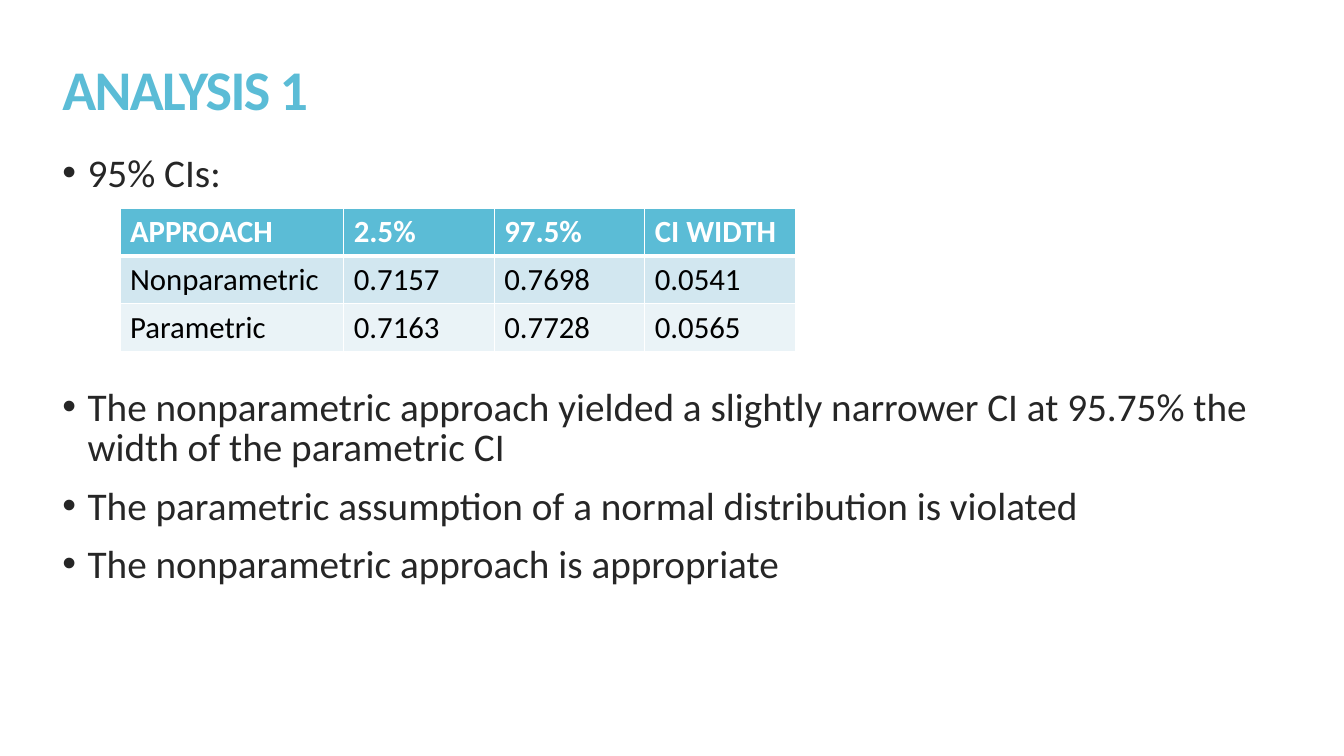
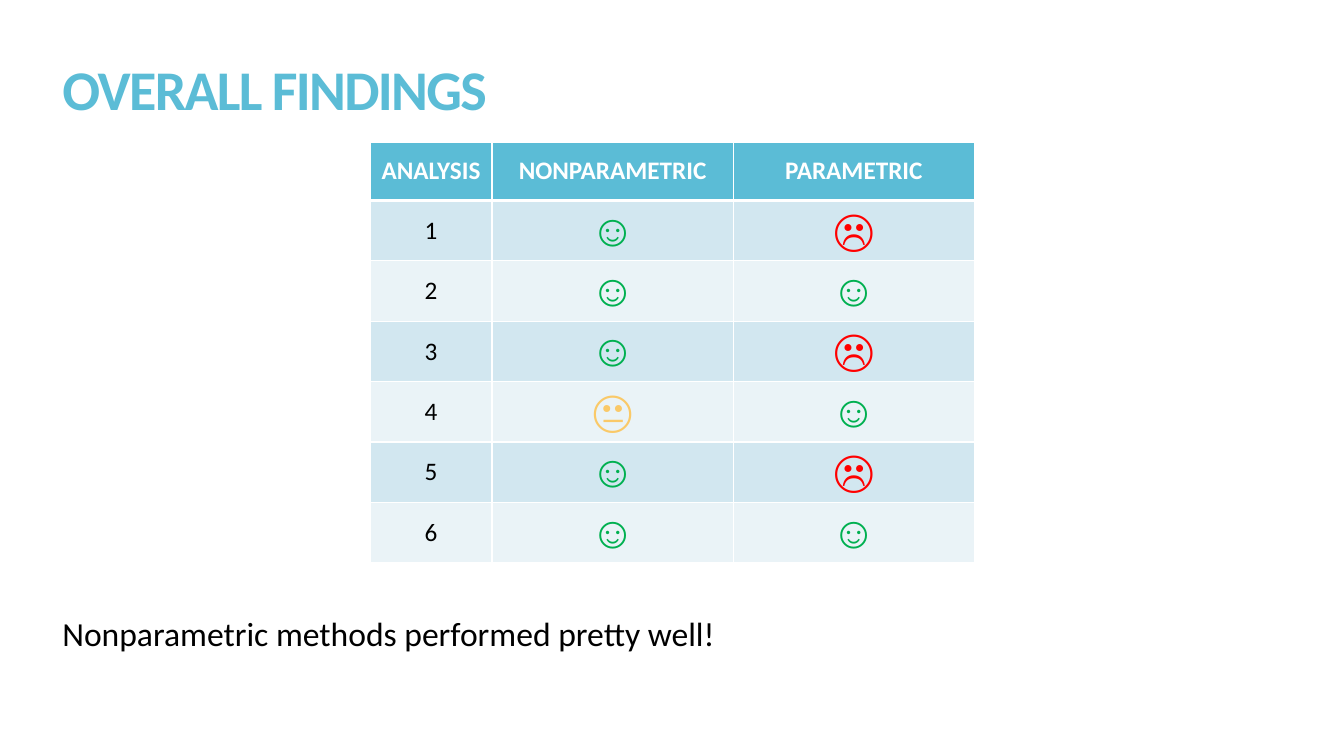
import pptx
import pptx.util
import pptx.dml.color
import pptx.enum.text
import pptx.oxml.ns
import lxml.etree

Pt = pptx.util.Pt
ALIGN = pptx.enum.text.PP_ALIGN
ANCHOR = pptx.enum.text.MSO_ANCHOR
FIT = pptx.enum.text.MSO_AUTO_SIZE

WIDTH, HEIGHT = pptx.util.Inches(13.33), pptx.util.Inches(7.5)
LEFT, SPAN = 3.9, 91.95
COLORS = {
    "accent": "5BBCD6", "text": "262626", "black": "000000", "white": "FFFFFF",
    "band_dark": "D2E7F0", "band_light": "EAF3F7",
    "good": "00B050", "bad": "FF0000", "fair": "FAC968",
}
FACES = {"☺": "good", "☹": "bad", "😐": "fair"}

TITLE = {"name": "Calibri", "size": Pt(40), "bold": True}
BODY = {"name": "Calibri", "size": Pt(28), "bold": False}
NOTE = {"name": "Calibri", "size": Pt(24), "bold": False}
FACE = {"name": "Arial", "size": Pt(32), "bold": False}
TIGHT = {"line_spacing": 0.85, "alignment": ALIGN.LEFT}
BULLET = {**TIGHT, "space_before": Pt(13), "space_after": Pt(0)}
TABLE_GAP = Pt(139)


def rgb(color):
    return pptx.dml.color.RGBColor.from_string(COLORS[color])


def across(share):
    return round(WIDTH * share / 100)


def down(share):
    return round(HEIGHT * share / 100)


def box(x, y, w, h):
    return across(x), down(y), across(w), down(h)


def set_all(target, formats):
    for name, value in formats.items():
        setattr(target, name, value)


def child(parent, tag, **attributes):
    return lxml.etree.SubElement(parent, pptx.oxml.ns.qn(tag), attributes)


def add_run(p, text, font, color):
    r = p.add_run()
    r.text = text
    set_all(r.font, font)
    r.font.color.rgb = rgb(color)
    return r


def place(sp, x, y, w, h):
    set_all(sp, dict(zip(("left", "top", "width", "height"), box(x, y, w, h))))


def add_slide(prs, layout, title):
    s = prs.slides.add_slide(prs.slide_layouts.get_by_name(layout))
    sp = s.shapes.title
    place(sp, LEFT, 6, SPAN, 12.8)
    set_all(sp.text_frame, {"vertical_anchor": ANCHOR.MIDDLE, "auto_size": FIT.NONE})
    p = sp.text_frame.paragraphs[0]
    set_all(p, TIGHT)
    r = add_run(p, title, TITLE, "accent")
    r.font._element.set("spc", "-120")
    return s


def fill_body(s, lines):
    sp = s.placeholders[1]
    place(sp, LEFT, 19.87, SPAN, 71.6)
    tf = sp.text_frame
    tf.auto_size = FIT.NONE
    hang = pptx.util.Inches(0.25)
    for i, line in enumerate(lines):
        p = tf.paragraphs[0] if i == 0 else tf.add_paragraph()
        set_all(p, BULLET)
        pPr = p._p.get_or_add_pPr()
        pPr.set("marL", str(hang))
        pPr.set("indent", str(-hang))
        child(pPr, "a:buFont", typeface="Arial")
        child(pPr, "a:buChar", char="•")
        add_run(p, line, BODY, "text")
    tf.paragraphs[1].space_before = TABLE_GAP


def add_borders(cell, **widths):
    tcPr = cell._tc.get_or_add_tcPr()
    for side in "LRTB":
        ln = child(tcPr, f"a:ln{side}", w=str(Pt(widths.get(side, 1))))
        child(child(ln, "a:solidFill"), "a:srgbClr", val=COLORS["white"])


def fill_cell(cell, row, text, size, align):
    header = row == 0
    add_borders(cell, T=3 if row == 1 else 1, B=3 if header else 1)
    cell.fill.solid()
    cell.fill.fore_color.rgb = rgb(
        "accent" if header else "band_dark" if row % 2 else "band_light")
    cell.vertical_anchor = ANCHOR.MIDDLE
    p = cell.text_frame.paragraphs[0]
    p.alignment = align
    if text in FACES:
        add_run(p, text, FACE, FACES[text])
    else:
        font = {"name": "Calibri", "size": Pt(size), "bold": header}
        add_run(p, text, font, "white" if header else "black")


def add_table(s, x, y, cols, row_height, rows, size, align):
    frame = s.shapes.add_table(
        len(rows), len(cols), *box(x, y, sum(cols), row_height * len(rows)))
    table = frame.table
    for column, share in zip(table.columns, cols):
        column.width = across(share)
    for i, values in enumerate(rows):
        table.rows[i].height = down(row_height)
        for j, text in enumerate(values):
            fill_cell(table.cell(i, j), i, text, size, align)


def add_note(s, text):
    tf = s.shapes.add_textbox(*box(LEFT, 80.4, SPAN, 6.67)).text_frame
    set_all(tf, {"word_wrap": True, "auto_size": FIT.SHAPE_TO_FIT_TEXT})
    add_run(tf.paragraphs[0], text, NOTE, "black")


def main():
    prs = pptx.Presentation()
    set_all(prs, {"slide_width": WIDTH, "slide_height": HEIGHT})

    s = add_slide(prs, "Title and Content", "ANALYSIS 1")
    fill_body(s, [
        "95% CIs:",
        "The nonparametric approach yielded a slightly narrower CI at 95.75% "
        "the width of the parametric CI",
        "The parametric assumption of a normal distribution is violated",
        "The nonparametric approach is appropriate",
    ])
    add_table(s, 8.93, 27.6, [16.65] + [11.2] * 3, 6.22, [
        ("APPROACH", "2.5%", "97.5%", "CI WIDTH"),
        ("Nonparametric", "0.7157", "0.7698", "0.0541"),
        ("Parametric", "0.7163", "0.7728", "0.0565"),
    ], 22, ALIGN.LEFT)

    s = add_slide(prs, "Title Only", "OVERALL FINDINGS")
    faces = zip("☺☺☺😐☺☺", "☹☺☹☺☹☺")
    add_table(s, 27.53, 18.8, [9.08] + [17.95] * 2, 7.73, [
        ("ANALYSIS", "NONPARAMETRIC", "PARAMETRIC"),
        *((str(n), *pair) for n, pair in enumerate(faces, 1)),
    ], 18, ALIGN.CENTER)
    add_note(s, "Nonparametric methods performed pretty well!")

    prs.save("out.pptx")


if __name__ == "__main__":
    main()
